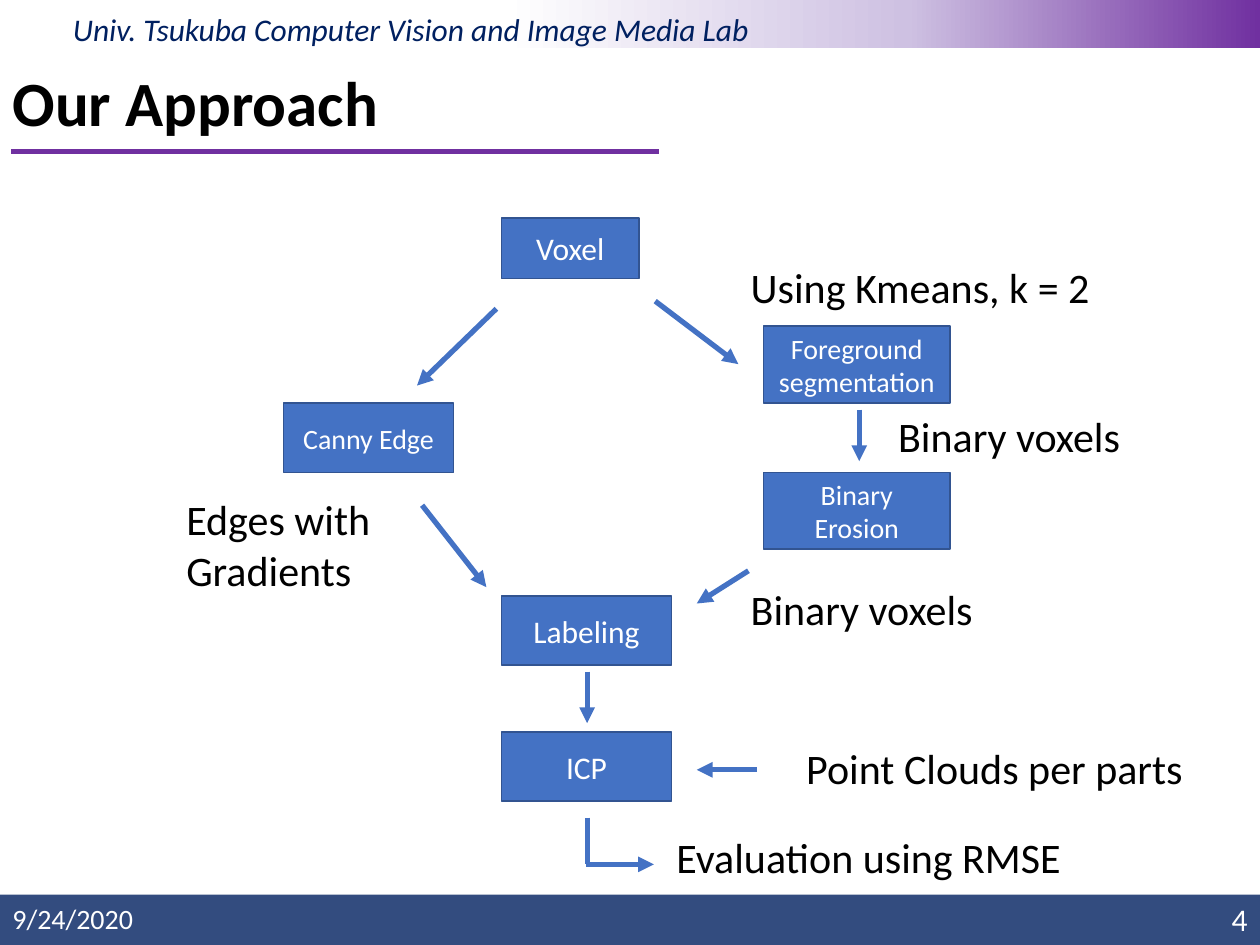
"""Build the "Our Approach" flow chart slide."""
from copy import deepcopy

from pptx import Presentation
from pptx.dml.color import RGBColor
from pptx.enum.dml import MSO_LINE
from pptx.enum.shapes import MSO_CONNECTOR, MSO_SHAPE
from pptx.enum.text import MSO_ANCHOR, MSO_AUTO_SIZE, PP_ALIGN
from pptx.oxml.ns import qn
from pptx.util import Inches, Pt
from lxml.etree import SubElement

THEME = {
    "font": "Calibri", "black": "000000", "white": "FFFFFF", "navy": "002060",
    "purple": "7030A0", "lilac": "CEC1E2", "blue": "4472C4", "border": "325491",
    "title": 36, "label": 24, "step": 18, "small": 16,
}
TITLE = "Our Approach"
LAB = "Univ. Tsukuba Computer Vision and Image Media Lab"
DATE, NUMBER = "9/24/2020", "4"
BAND_STOPS = [(0, "purple"), (28, "lilac"), (60, "white")]
STEPS = [
    ("Voxel", (3.98, 1.73, 1.09, 0.48), "step"),
    ("Foreground segmentation", (6.06, 2.59, 1.48, 0.61), "small"),
    ("Canny Edge", (2.25, 3.2, 1.35, 0.55), "small"),
    ("Binary Erosion", (6.06, 3.75, 1.48, 0.61), "small"),
    ("Labeling", (3.98, 4.73, 1.35, 0.55), "step"),
    ("ICP", (3.98, 5.81, 1.35, 0.55), "step"),
]
ARROWS = [
    (3.94, 2.45, 3.31, 3.06), (5.2, 2.39, 5.86, 2.89), (6.82, 3.25, 6.82, 3.66),
    (5.94, 4.53, 5.53, 4.79), (3.35, 4.01, 3.86, 4.66), (4.66, 5.33, 4.66, 5.74),
    (6.01, 6.11, 5.53, 6.11), (4.65, 6.86, 5.19, 6.86),
]
ELBOW_STEM = (4.66, 6.49, 4.66, 6.86)
TITLE_RULE = (0.09, 1.2, 5.23, 1.2)
LABELS = [
    ("Using Kmeans, k = 2", (5.86, 2.03, 2.91, 0.5)),
    ("Binary voxels", (7.03, 3.21, 1.98, 0.5)),
    ("Edges with\nGradients", (1.38, 3.87, 1.75, 0.91)),
    ("Binary voxels", (5.86, 4.58, 1.98, 0.5)),
    ("Point Clouds per parts", (6.3, 5.84, 3.22, 0.5)),
    ("Evaluation using RMSE", (5.27, 6.55, 3.36, 0.5)),
]


def color(name):
    return RGBColor.from_string(THEME[name])


def inches(values):
    return [Inches(value) for value in values]


def write(shape, text, size="label", ink="black", bold=False, italic=False,
          align=PP_ALIGN.LEFT, anchor=MSO_ANCHOR.MIDDLE, wrap=True, spacing=None):
    frame = shape.text_frame
    frame.text = text
    frame.word_wrap = wrap
    frame.auto_size = MSO_AUTO_SIZE.NONE if wrap else MSO_AUTO_SIZE.SHAPE_TO_FIT_TEXT
    frame.vertical_anchor = anchor
    for para in frame.paragraphs:
        para.alignment = align
        para.line_spacing = spacing
        for span in para.runs:
            span.font.name = THEME["font"]
            span.font.size = Pt(THEME[size])
            span.font.bold, span.font.italic = bold, italic
            span.font.color.rgb = color(ink)


def add_text(page, text, at, **style):
    box = page.shapes.add_textbox(*inches(at))
    write(box, text, **style)


def add_box(page, at, fill, border=None):
    box = page.shapes.add_shape(MSO_SHAPE.RECTANGLE, *inches(at))
    box.shadow.inherit = False
    box.fill.solid()
    box.fill.fore_color.rgb = color(fill)
    if border:
        box.line.color.rgb = color(border)
        box.line.width = Pt(1)
    else:
        box.line.fill.background()
    return box


def add_line(page, ends, ink="blue", arrow=False):
    line = page.shapes.add_connector(MSO_CONNECTOR.STRAIGHT, *inches(ends))
    line.line.color.rgb = color(ink)
    line.line.width = Pt(3)
    line.line.dash_style = MSO_LINE.SOLID
    properties = line._element.spPr
    if arrow:
        SubElement(properties.find(qn("a:ln")), qn("a:tailEnd"), type="triangle")
    SubElement(properties, qn("a:effectLst"))


def add_bands(page):
    footer = add_box(page, (0, 7.1, 10, 0.4), "navy")
    tint = footer._element.spPr.find(".//" + qn("a:srgbClr"))
    SubElement(tint, qn("a:alpha"), val="80000")
    header = add_box(page, (0, -0.02, 10, 0.4), "white")
    header.fill.gradient()
    header.fill.gradient_angle = 180
    stops = header._element.spPr.find(".//" + qn("a:gsLst"))
    stops.append(deepcopy(stops[-1]))
    for stop, (position, name) in zip(header.fill.gradient_stops, BAND_STOPS):
        stop.position = position / 100
        stop.color.rgb = color(name)


def main():
    deck = Presentation()
    deck.slide_width, deck.slide_height = Inches(10), Inches(7.5)
    page = deck.slides.add_slide(deck.slide_layouts[5])
    add_bands(page)
    add_line(page, TITLE_RULE, ink="purple")
    add_text(page, LAB, (0.48, 0.03, 5.64, 0.4), size="step", ink="navy",
             italic=True, anchor=MSO_ANCHOR.TOP, wrap=False)
    add_text(page, NUMBER, (9.49, 7.09, 0.51, 0.4), size="step", ink="white",
             align=PP_ALIGN.RIGHT)
    add_text(page, DATE, (0, 7.09, 2.25, 0.4), size="small", ink="white")
    title = page.shapes.title
    title.left, title.top, title.width, title.height = inches((0, 0.48, 8.62, 0.72))
    write(title, TITLE, size="title", bold=True, spacing=0.9)
    for text, at, size in STEPS:
        box = add_box(page, at, "blue", border="border")
        write(box, text, size=size, ink="white", align=PP_ALIGN.CENTER)
    for ends in ARROWS:
        add_line(page, ends, arrow=True)
    add_line(page, ELBOW_STEM)
    for text, at in LABELS:
        add_text(page, text, at, anchor=MSO_ANCHOR.TOP, wrap=False)
    deck.save("out.pptx")


if __name__ == "__main__":
    main()
